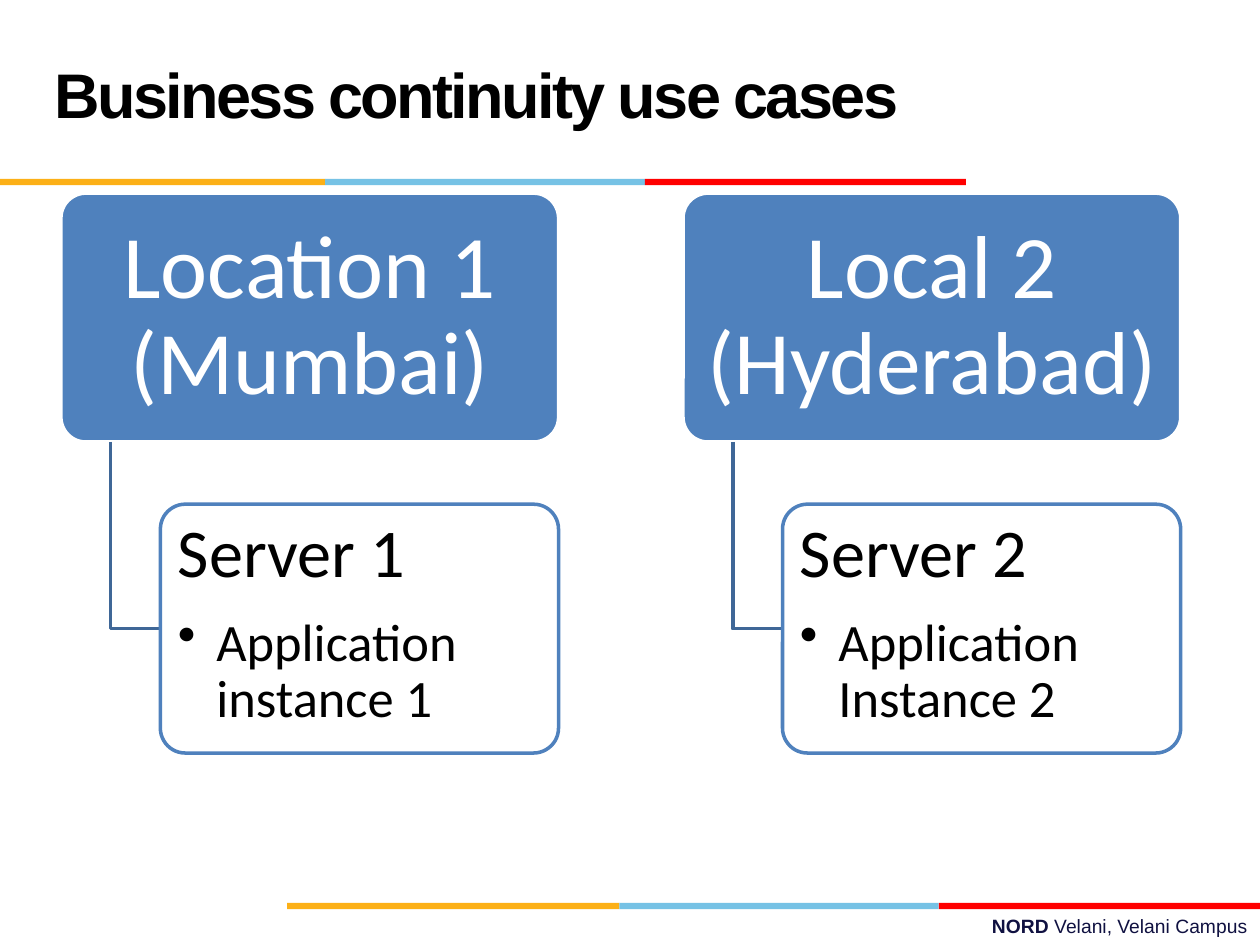
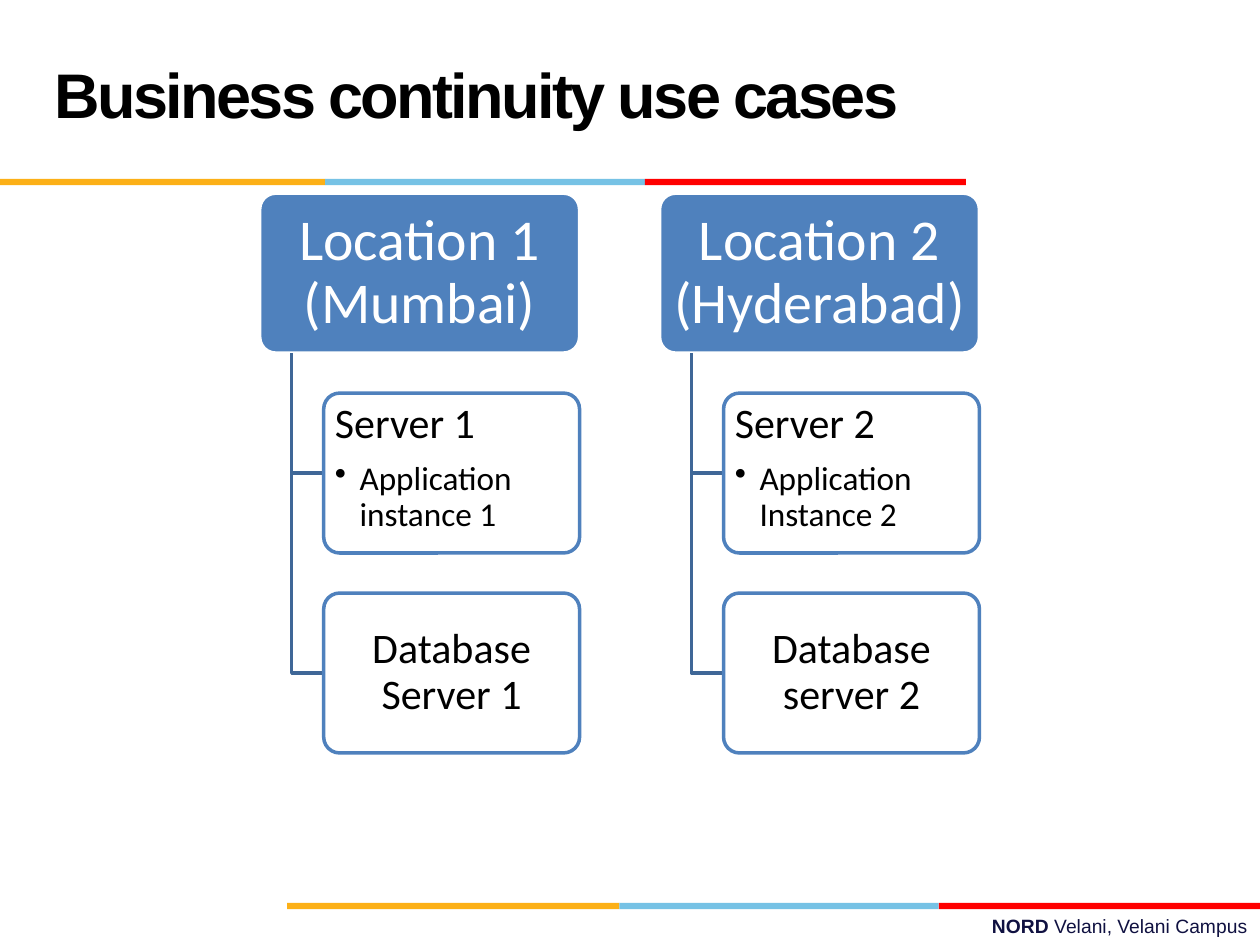
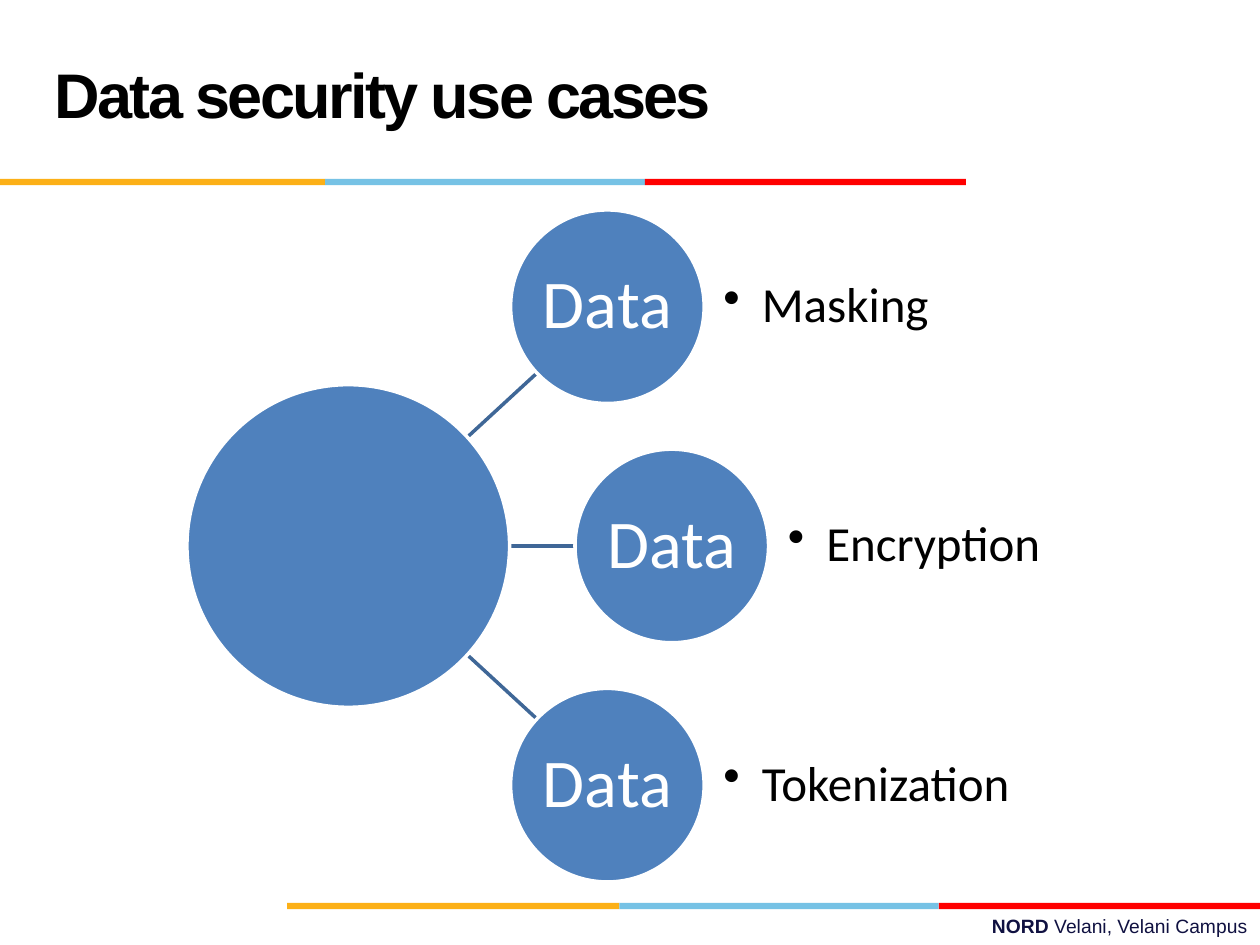
from pptx import Presentation
from pptx.dml.color import RGBColor
from pptx.enum.shapes import MSO_CONNECTOR as Connector, MSO_SHAPE as Shape
from pptx.enum.text import MSO_ANCHOR as Anchor, MSO_AUTO_SIZE as AutoSize, PP_ALIGN as Align
from pptx.oxml.ns import qn
from pptx.util import Pt
from lxml.etree import SubElement

COLORS = {
    "gold": "FCB017", "sky": "76C2E5", "red": "FF0000", "navy": "101141",
    "blue": "4F81BD", "steel": "3F6797", "white": "FFFFFF", "black": "000000",
}
BODY_FONT, BRAND_FONT = "Calibri", "Arial"
LINE_WIDTH = 2


def color(name):
    return RGBColor.from_string(COLORS[name])


def write(paragraph, text, size, fill="black", font=BODY_FONT, bold=False,
          align=Align.LEFT, line_spacing=None, space_after=0, tracking=None, bullet_indent=0):
    """Add a run to the paragraph and format both."""
    paragraph.alignment = align
    paragraph.line_spacing = line_spacing
    paragraph.space_after = Pt(space_after)
    run = paragraph.add_run()
    run.text = text
    run.font.size, run.font.name, run.font.bold = Pt(size), font, bold
    run.font.color.rgb = color(fill)
    if tracking:
        run._r.get_or_add_rPr().set("spc", str(tracking))
    if bullet_indent:
        paragraph.level = 1
        properties = paragraph._p.get_or_add_pPr()
        properties.set("marL", str(Pt(bullet_indent)))
        properties.set("indent", str(-Pt(bullet_indent)))
        SubElement(properties, qn("a:buChar")).set("char", "•")


def set_frame(frame, inset_x, inset_y, anchor=Anchor.MIDDLE):
    frame.word_wrap = True
    frame.auto_size = AutoSize.NONE
    frame.vertical_anchor = anchor
    frame.margin_left = frame.margin_right = Pt(inset_x)
    frame.margin_top = frame.margin_bottom = Pt(inset_y)
    return frame


def add_box(slide, kind, left, top, width, height, fill, line=None):
    shape = slide.shapes.add_shape(kind, Pt(left), Pt(top), Pt(width), Pt(height))
    shape.shadow.inherit = False
    shape.fill.solid()
    shape.fill.fore_color.rgb = color(fill)
    if line:
        shape.line.color.rgb = color(line)
        shape.line.width = Pt(LINE_WIDTH)
    else:
        shape.line.fill.background()
    if kind == Shape.ROUNDED_RECTANGLE:
        shape.adjustments[0] = 0.1
    return shape


def add_band(slide, top, edges):
    """Three-colour band whose segments meet at the given edges."""
    for name, left, right in zip(("gold", "sky", "red"), edges, edges[1:]):
        add_box(slide, Shape.RECTANGLE, left, top, right - left, 3.6, name)


def add_base_slide(presentation, title):
    """Slide with title, both bands and the footer."""
    slide = presentation.slides.add_slide(presentation.slide_layouts[5])
    add_band(slide, 102.2, (0, 185.8, 368.6, 552))
    add_band(slide, 516, (164, 354, 536.5, 720))

    # Footer
    footer = slide.shapes.add_textbox(Pt(258), Pt(519), Pt(462), Pt(21))
    paragraph = set_frame(footer.text_frame, 7.2, 3.6, Anchor.TOP).paragraphs[0]
    for text, bold in (("NORD ", True), ("Velani, Velani Campus", False)):
        write(paragraph, text, 11, "navy", BRAND_FONT, bold, Align.RIGHT)

    # Title
    holder = slide.shapes.title
    holder.left, holder.top, holder.width, holder.height = Pt(24), Pt(12), Pt(498), Pt(90)
    write(set_frame(holder.text_frame, 7.2, 3.6).paragraphs[0], title, 36, font=BRAND_FONT,
          bold=True, line_spacing=Pt(36), tracking=-150)
    return slide


def add_elbow(slide, left, top, width, height):
    builder = slide.shapes.build_freeform(Pt(left), Pt(top))
    builder.add_line_segments([(Pt(left), Pt(top + height)),
                               (Pt(left + width), Pt(top + height))], close=False)
    elbow = builder.convert_to_shape()
    elbow.shadow.inherit = False
    elbow.fill.background()
    elbow.line.color.rgb = color("steel")
    elbow.line.width = Pt(LINE_WIDTH)


def add_location(slide, left, top, width, name, servers, sizes):
    """Header with servers hanging below it; all parts scale with the width."""
    height, scale = width / 2, width / 284.4
    head_size, server_size, item_size = sizes
    header = add_box(slide, Shape.ROUNDED_RECTANGLE, left, top, width, height, "blue", "white")
    frame = set_frame(header.text_frame, 7.8 * scale, 5 * scale)
    write(frame.paragraphs[0], name, head_size, "white", align=Align.CENTER, line_spacing=0.9)

    for row, (server, item) in enumerate(servers, 1):
        offset = 1.25 * height * row
        add_elbow(slide, left + 0.1 * width, top + height, 0.1 * width, offset - height / 2)
        box = add_box(slide, Shape.ROUNDED_RECTANGLE, left + 0.2 * width, top + offset,
                      0.8 * width, height, "white", "blue")
        frame = set_frame(box.text_frame, 5.8 * scale, 3.8 * scale,
                          Anchor.TOP if item else Anchor.MIDDLE)
        write(frame.paragraphs[0], server, server_size, line_spacing=0.9,
              align=Align.LEFT if item else Align.CENTER,
              space_after=0.35 * server_size if item else 0)
        if item:
            write(frame.add_paragraph(), item, item_size, line_spacing=0.9,
                  bullet_indent=22 * scale)


def add_locations(slide, left, top, width, locations, sizes):
    for column, (name, servers) in enumerate(locations):
        add_location(slide, left + 1.25 * width * column, top, width, name, servers, sizes)


def add_data_hub(slide, left, top, height, topics):
    """Large hub joined to three circles, each with a topic beside it."""
    hub, circle = 184.4, 110.6
    middle = top + height / 2
    pitch = (height - circle) / 2
    steps = (-1, 0, 1)
    lefts = [left + (185 if step else 221.8) for step in steps]

    # Spokes run beneath the circles
    for step, circle_left in zip(steps, lefts):
        end = left + 200 if step else circle_left
        spoke = slide.shapes.add_connector(
            Connector.STRAIGHT, Pt(left + 157), Pt(middle + 59.2 * step),
            Pt(end), Pt(middle + 98.8 * step))
        spoke.line.color.rgb = color("steel")
        spoke.line.width = Pt(LINE_WIDTH)
        SubElement(spoke._element.spPr, qn("a:effectLst"))

    # Hub, circles and topics
    add_box(slide, Shape.OVAL, left, middle - hub / 2, hub, hub, "blue", "white")
    for step, circle_left, topic in zip(steps, lefts, topics):
        circle_top = middle + pitch * step - circle / 2
        disc = add_box(slide, Shape.OVAL, circle_left, circle_top, circle, circle, "blue", "white")
        write(set_frame(disc.text_frame, 2, 2).paragraphs[0], "Data", 39, "white",
              align=Align.CENTER, line_spacing=0.9)
        label = slide.shapes.add_textbox(Pt(circle_left + circle + 11), Pt(circle_top),
                                         Pt(166), Pt(circle))
        write(set_frame(label.text_frame, 0, 0).paragraphs[0], topic, 28,
              line_spacing=0.9, bullet_indent=22)


def main():
    presentation = Presentation()
    presentation.slide_width, presentation.slide_height = Pt(720), Pt(540)

    # Application servers
    server_1 = ("Server 1", "Application instance 1")
    server_2 = ("Server 2", "Application Instance 2")
    slide = add_base_slide(presentation, "Business continuity use cases")
    add_locations(slide, 34.8, 110.4, 284.4, [
        ("Location 1 (Mumbai)", [server_1]),
        ("Local 2 (Hyderabad)", [server_2]),
    ], (51, 39, 30))

    # Application and database servers
    slide = add_base_slide(presentation, "Business continuity use cases")
    add_locations(slide, 148.4, 110.4, 182.8, [
        ("Location 1 (Mumbai)", [server_1, ("Database Server 1", None)]),
        ("Location 2 (Hyderabad)", [server_2, ("Database server 2", None)]),
    ], (33, 24, 19))

    # Data security
    slide = add_base_slide(presentation, "Data security use cases")
    add_data_hub(slide, 106.8, 120, 384, ("Masking", "Encryption", "Tokenization"))

    presentation.save("out.pptx")


if __name__ == "__main__":
    main()
